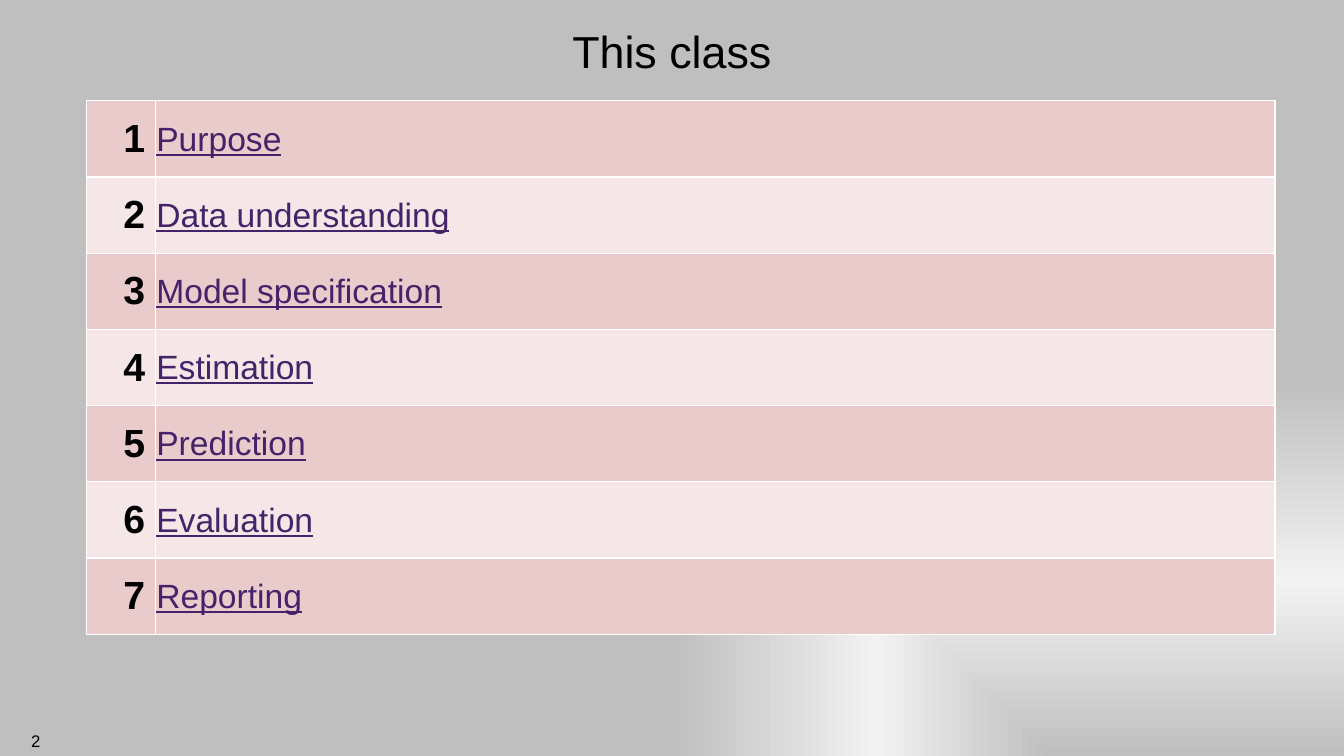
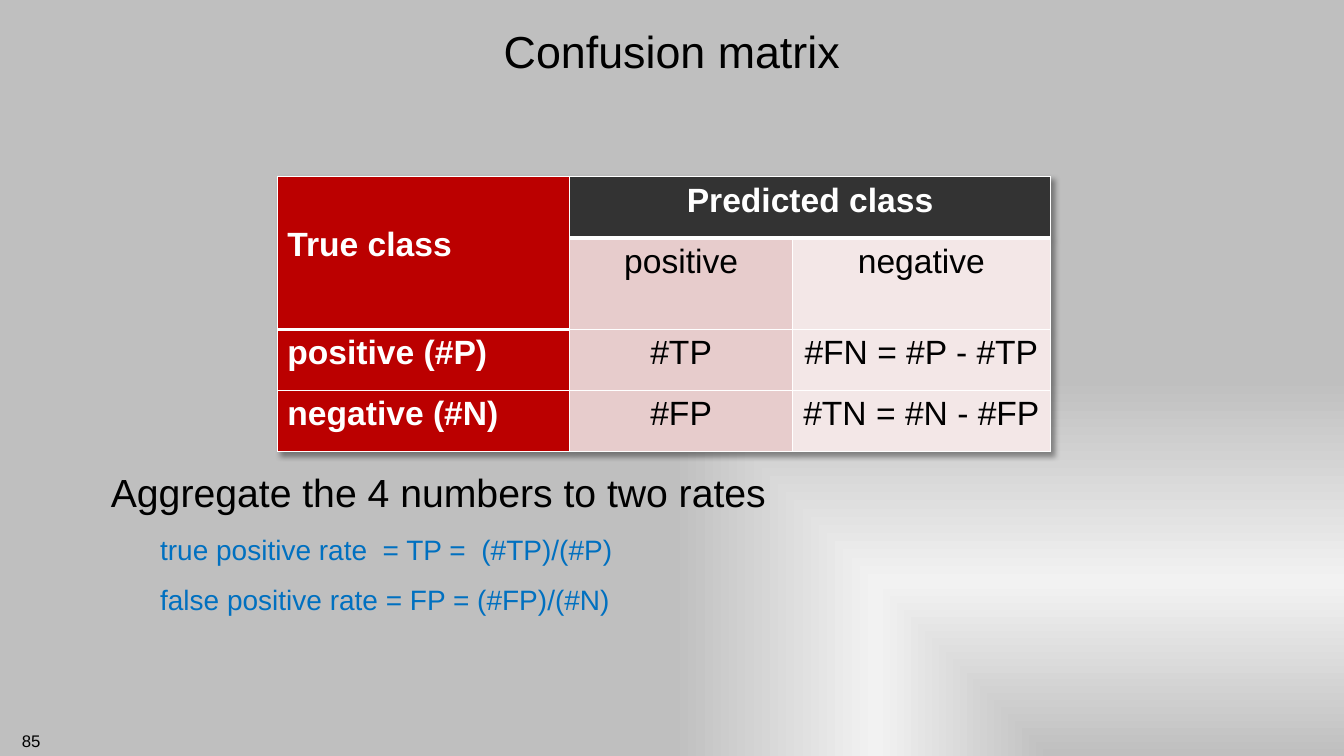
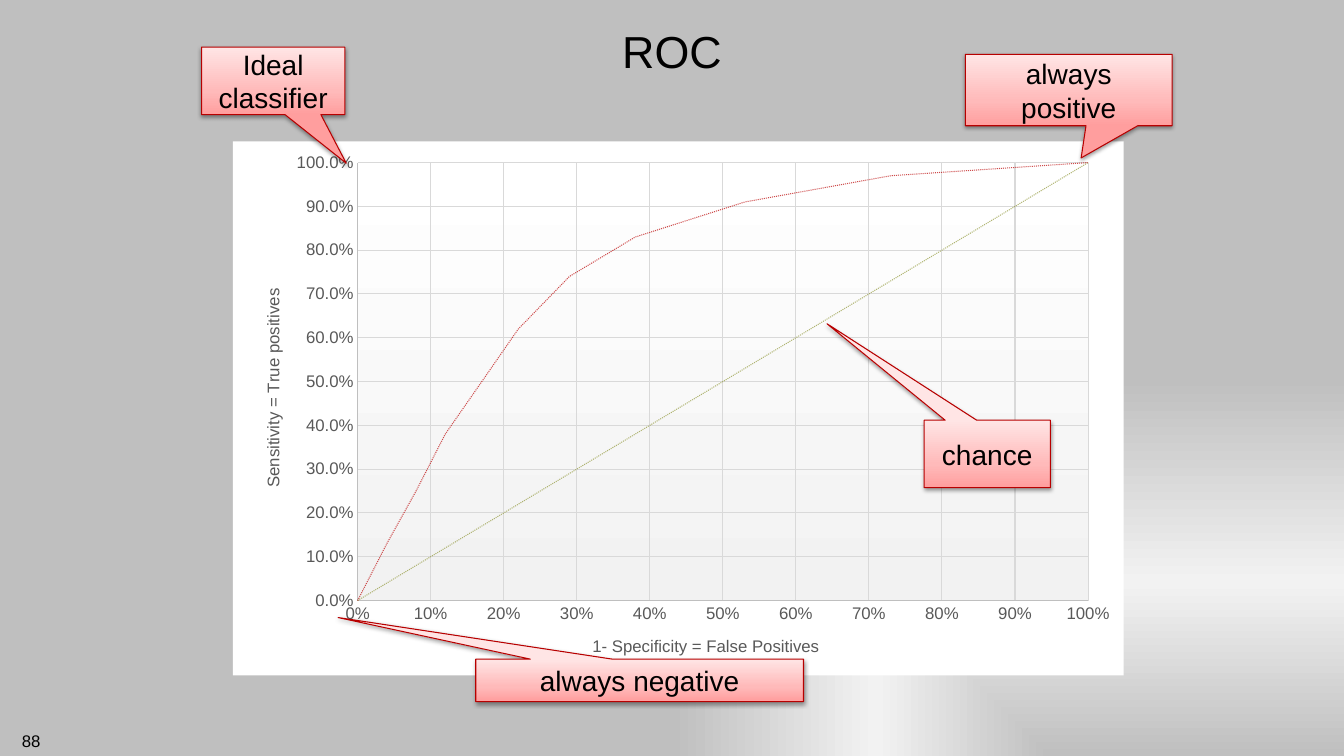
from pptx import Presentation
from pptx import util as u
from pptx import oxml
from pptx.chart import data
from pptx.dml import color
from pptx.enum import chart as charts, dml, shapes, text
from pptx.oxml import ns

FONT = "Arial"
COLOURS = {
    "ink": "000000", "white": "FFFFFF", "backdrop": "BFBFBF", "glow": "F2F2F2",
    "link": "442369", "formula": "0070C0", "axis": "595959", "grid": "D9D9D9",
    "row dark": "EACBCB", "row light": "F5E7E7",
    "header red": "BB0000", "header grey": "333333",
    "cell dark": "E7CCCC", "cell light": "F3E7E7",
    "curve": "BB0000", "diagonal": "909738", "callout line": "B70000",
    "callout low": "FF9E9E", "callout mid": "FFBABA", "callout high": "FFE5E5",
}
RECTANGLE_PATH = '<a:path path="rect"><a:fillToRect l="100000" t="100000"/></a:path>'
UPWARD = '<a:lin ang="16200000" scaled="0"/>'
DOWNWARD = '<a:lin ang="5400000" scaled="0"/>'
ALIGN = text.PP_ALIGN
ANCHOR = text.MSO_ANCHOR


def rgb(name):
    return color.RGBColor.from_string(COLOURS[name])


def element(tag, inner="", attributes=""):
    return oxml.parse_xml(f"<{tag} {ns.nsdecls('a', 'c')} {attributes}>{inner}</{tag}>")


def solid(name):
    return f'<a:solidFill><a:srgbClr val="{COLOURS[name]}"/></a:solidFill>'


def gradient(stops, direction):
    marks = "".join(
        f'<a:gs pos="{position * 1000}"><a:srgbClr val="{COLOURS[name]}"/></a:gs>'
        for position, name in stops)
    return f'<a:gradFill rotWithShape="1"><a:gsLst>{marks}</a:gsLst>{direction}</a:gradFill>'


def swap_fill(properties, stops, direction):
    old = properties.find(ns.qn("a:solidFill"))
    holder = element("c:spPr", gradient(stops, direction))
    properties.replace(old, holder[0])


def shadow(blur, distance, angle):
    return element(
        "a:outerShdw", '<a:srgbClr val="000000"><a:alpha val="38000"/></a:srgbClr>',
        f'blurRad="{u.Pt(blur)}" dist="{u.Pt(distance)}" dir="{angle * 60000}" rotWithShape="0"')


def place(parent, left, top, width=None, height=None):
    parts = {"x": left, "y": top, "w": width, "h": height}
    inner = '<c:layoutTarget val="inner"/>' if width else ""
    inner += '<c:xMode val="edge"/><c:yMode val="edge"/>'
    inner += "".join(f'<c:{key} val="{value}"/>' for key, value in parts.items() if value)
    layout = element("c:layout", f"<c:manualLayout>{inner}</c:manualLayout>")
    for old in parent.findall(ns.qn("c:layout")):
        parent.remove(old)
    parent.insert(0 if parent.find(ns.qn("c:tx")) is None else 1, layout)


class Deck:
    def __init__(self):
        self.presentation = Presentation()
        self.presentation.slide_width = u.Cm(33.87)
        self.presentation.slide_height = u.Cm(19.05)
        self.slide = None
        master = self.presentation.slide_master
        master.background.fill.solid()
        swap_fill(master.element.find(".//" + ns.qn("p:bgPr")),
                  [(0, "backdrop"), (46, "glow"), (100, "backdrop")], RECTANGLE_PATH)

    def box(self, left, top, width, height):
        return u.Cm(left), u.Cm(top), u.Cm(width), u.Cm(height)

    def move(self, shape, *box):
        shape.left, shape.top, shape.width, shape.height = self.box(*box)

    def run(self, paragraph, words, size, colour="ink", bold=False, underline=False, align=None):
        paragraph.alignment = align
        run = paragraph.add_run()
        run.text = words
        run.font.name = FONT
        run.font.size = u.Pt(size)
        run.font.bold = bold
        run.font.underline = underline
        run.font.color.rgb = rgb(colour)

    def new_slide(self, title, number, layout=5):
        self.slide = self.presentation.slides.add_slide(self.presentation.slide_layouts[layout])
        shape = self.slide.shapes.title
        self.move(shape, 2.54, 0, 28.79, 2.54)
        shape.text_frame.auto_size = text.MSO_AUTO_SIZE.NONE
        shape.text_frame.vertical_anchor = ANCHOR.MIDDLE
        self.run(shape.text_frame.paragraphs[0], title, 32, align=ALIGN.CENTER)
        footer = self.slide.shapes.add_textbox(*self.box(0, 18.29, 1.27, 0.76))
        footer.text_frame.word_wrap = True
        self.run(footer.text_frame.paragraphs[0], number, 12, align=ALIGN.RIGHT)

    def body(self, items, *box):
        shape = self.slide.placeholders[1]
        self.move(shape, *box)
        frame = shape.text_frame
        frame.auto_size = text.MSO_AUTO_SIZE.NONE
        styles = [(0.36, 28, "ink"), (1.6, 20, "formula")]
        for index, (level, words) in enumerate(items):
            paragraph = frame.add_paragraph() if index else frame.paragraphs[0]
            indent, size, colour = styles[level]
            paragraph.level = level
            paragraph.space_before = u.Pt(12)
            self.run(paragraph, words, size, colour, align=ALIGN.LEFT)
            properties = paragraph._p.get_or_add_pPr()
            properties.set("marL", str(u.Cm(indent)))
            properties.set("indent", "0")
            properties.append(element("a:buNone"))

    def table(self, left, top, widths, heights):
        frame = self.slide.shapes.add_table(
            len(heights), len(widths), *self.box(left, top, sum(widths), sum(heights)))
        table = frame.table
        table.first_row = table.horz_banding = False
        for column, width in zip(table.columns, widths):
            column.width = u.Cm(width)
        for row, height in zip(table.rows, heights):
            row.height = u.Cm(height)
        return table

    def cell(self, cell, words, fill, size=24, anchor=ANCHOR.TOP, bottom=1, **style):
        properties = cell._tc.get_or_add_tcPr()
        for side, width in zip("LRTB", (1, 1, 1, bottom)):
            properties.append(element(f"a:ln{side}", solid("white"), f'w="{u.Pt(width)}"'))
        cell.fill.solid()
        cell.fill.fore_color.rgb = rgb(fill)
        cell.vertical_anchor = anchor
        if words:
            self.run(cell.text_frame.paragraphs[0], words, size, **style)

    def callout(self, words, box, tip):
        shape = self.slide.shapes.add_shape(
            shapes.MSO_SHAPE.RECTANGULAR_CALLOUT, *self.box(*box))
        shape.adjustments[0], shape.adjustments[1] = tip
        shape.fill.solid()
        swap_fill(shape._element.spPr,
                  [(0, "callout low"), (35, "callout mid"), (100, "callout high")], UPWARD)
        shape.line.color.rgb = rgb("callout line")
        shape.line.width = u.Pt(0.75)
        shape.shadow.inherit = False
        shape._element.spPr.find(ns.qn("a:effectLst")).append(shadow(3.1, 1.6, 90))
        shape.text_frame.word_wrap = True
        shape.text_frame.vertical_anchor = ANCHOR.MIDDLE
        self.run(shape.text_frame.paragraphs[0], words, 20, align=ALIGN.CENTER)

    def axis(self, axis, title, number_format, title_place):
        axis.minimum_scale, axis.maximum_scale, axis.major_unit = 0, 1, 0.1
        axis.major_tick_mark = axis.minor_tick_mark = charts.XL_TICK_MARK.NONE
        axis.has_major_gridlines = True
        for line, colour in ((axis.major_gridlines.format.line, "grid"),
                             (axis.format.line, "backdrop")):
            line.color.rgb = rgb(colour)
            line.width = u.Pt(0.75)
        labels = axis.tick_labels
        labels.number_format = number_format
        labels.number_format_is_linked = False
        labels.font.name = FONT
        labels.font.size = u.Pt(12)
        labels.font.color.rgb = rgb("axis")
        axis.has_title = True
        self.run(axis.axis_title.text_frame.paragraphs[0], title, 12, "axis")
        place(axis.axis_title.element, *title_place)

    def scatter(self, curves, *box):
        chart_data = data.XyChartData()
        for name, _, points in curves:
            series = chart_data.add_series(name)
            for x, y in points:
                series.add_data_point(x, y)
        chart = self.slide.shapes.add_chart(
            charts.XL_CHART_TYPE.XY_SCATTER_LINES_NO_MARKERS, *self.box(*box), chart_data).chart
        chart.has_legend = chart.has_title = False
        chart.font.name = FONT
        chart.font.size = u.Pt(10)
        chart.plots[0].vary_by_categories = False
        for series, (_, colour, _) in zip(chart.plots[0].series, curves):
            line = series.format.line
            line.color.rgb = rgb(colour)
            line.width = u.Pt(0.75)
            line.dash_style = dml.MSO_LINE.ROUND_DOT
            paint = line._ln.find(".//" + ns.qn("a:srgbClr"))
            paint.append(element("a:alpha", attributes='val="70000"'))
        area = chart.element.find(ns.qn("c:chart"))
        area.addnext(element("c:spPr", solid("white") + "<a:ln><a:noFill/></a:ln>"))
        plot_area = area.find(ns.qn("c:plotArea"))
        place(plot_area, 0.14, 0.04, 0.82, 0.82)
        plot_area.append(element("c:spPr", gradient([(0, "white"), (100, "glow")], DOWNWARD)))
        return chart


def agenda(deck):
    topics = ["Purpose", "Data understanding", "Model specification", "Estimation",
              "Prediction", "Evaluation", "Reporting"]
    deck.new_slide("This class", "2")
    table = deck.table(2.18, 2.54, [1.73, 28.22], [1.92] * len(topics))
    for row, topic in enumerate(topics):
        fill = ("row dark", "row light")[row % 2]
        deck.cell(table.cell(row, 0), str(row + 1), fill, 28, ANCHOR.MIDDLE,
                  bold=True, align=ALIGN.RIGHT)
        cell = table.cell(row, 1)
        cell.margin_left = cell.margin_top = cell.margin_right = u.Cm(0.03)
        cell.margin_bottom = 0
        deck.cell(cell, topic, fill, 24, ANCHOR.MIDDLE, colour="link", underline=True)


def confusion_matrix(deck):
    deck.new_slide("Confusion matrix", "85", layout=1)
    deck.body([(0, "Aggregate the 4 numbers to two rates"),
               (1, "true positive rate  = TP =  (#TP)/(#P)"),
               (1, "false positive rate = FP = (#FP)/(#N)")], 2.18, 11.68, 29.95, 5.31)
    rows = [("True class", "Predicted class", ""),
            ("", "positive", "negative"),
            ("positive (#P)", "#TP", "#FN = #P - #TP"),
            ("negative (#N)", "#FP", "#TN = #N - #FP")]
    table = deck.table(6.99, 4.45, [7.37, 5.61, 6.5], [1.54, 2.31, 1.54, 1.54])
    for row, words in enumerate(rows):
        for column, word in enumerate(words):
            header = row == 0 or column == 0
            fill = ("header red", "cell dark", "cell light")[column]
            if row == 0 and column:
                fill = "header grey"
            deck.cell(table.cell(row, column), word, fill,
                      bottom=3 if row == 0 or (row, column) == (1, 0) else 1,
                      colour="white" if header else "ink", bold=header,
                      align=ALIGN.CENTER if column else ALIGN.LEFT)
    corner = table.cell(0, 0)
    corner.merge(table.cell(1, 0))
    corner.vertical_anchor = ANCHOR.MIDDLE
    corner.margin_bottom = u.Cm(0.53)
    table.cell(0, 1).merge(table.cell(0, 2))
    effects = element("a:effectLst")
    effects.append(shadow(4, 3, 45))
    table._tbl.tblPr.insert(0, effects)


def roc(deck):
    false_rates = [0, 0.04, 0.08, 0.12, 0.17, 0.22, 0.29, 0.38, 0.53, 0.73, 1]
    true_rates = [0, 0.13, 0.25, 0.38, 0.5, 0.62, 0.74, 0.83, 0.91, 0.97, 1]
    deck.new_slide("ROC", "88")
    chart = deck.scatter([("Series 1", "curve", list(zip(false_rates, true_rates))),
                          ("Series 2", "diagonal", list(zip(true_rates, true_rates)))],
                         5.87, 3.56, 22.45, 13.46)
    deck.axis(chart.category_axis, "1- Specificity = False Positives", "0%", (0.4, 0.92))
    deck.axis(chart.value_axis, "Sensitivity = True positives", "0.0%", (0.03, 0.27))
    deck.callout("Ideal classifier", (5.08, 1.19, 3.61, 1.7), (0.51, 1.22))
    deck.callout("chance", (23.29, 10.59, 3.18, 1.7), (-1.27, -1.93))
    deck.callout("always negative", (11.99, 16.61, 8.26, 1.07), (-0.92, -1.48))
    deck.callout("always positive", (24.33, 1.37, 5.21, 1.8), (0.06, 0.95))


def main():
    deck = Deck()
    agenda(deck)
    confusion_matrix(deck)
    roc(deck)
    deck.presentation.save("out.pptx")


if __name__ == "__main__":
    main()
